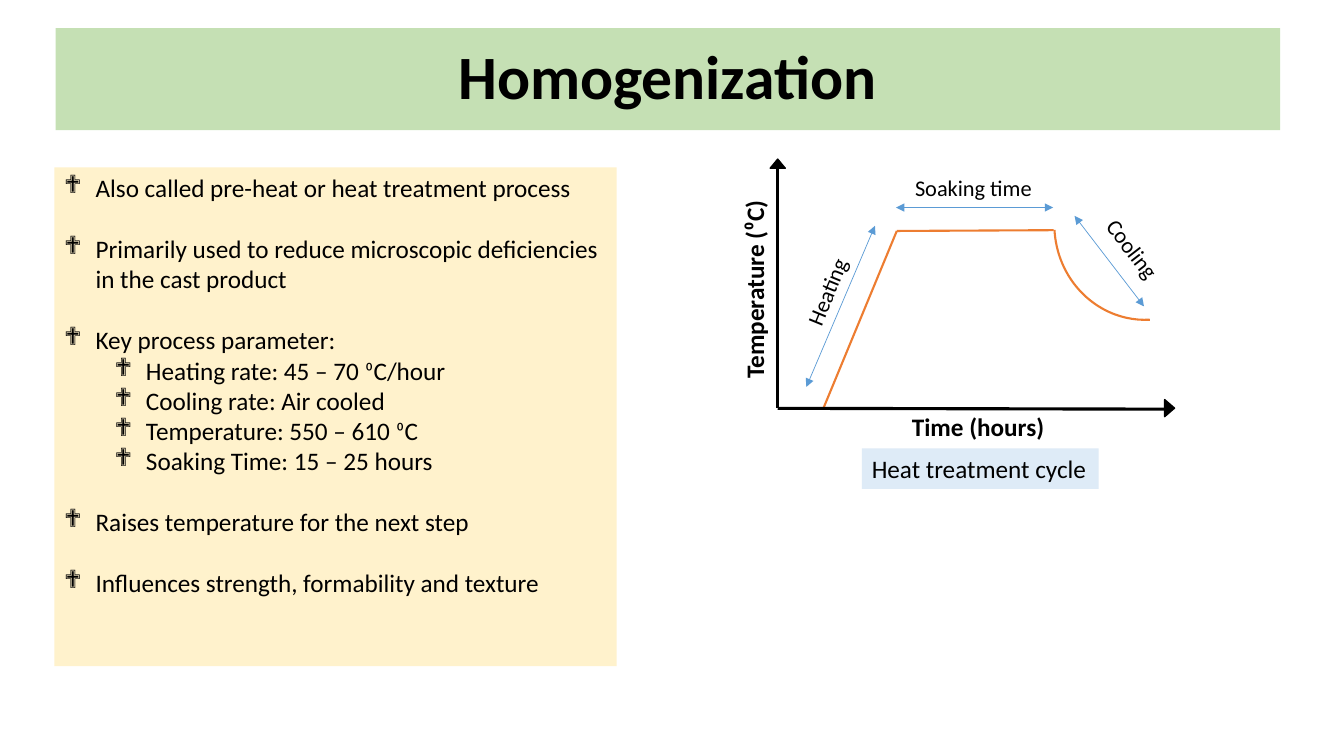
from lxml import etree
from pptx import Presentation
from pptx.dml.color import RGBColor
from pptx.enum.shapes import MSO_CONNECTOR as Line, MSO_SHAPE as Shape
from pptx.enum.text import MSO_ANCHOR as Anchor, PP_ALIGN as Align
from pptx.oxml.ns import qn
from pptx.util import Cm, Pt

COLORS = {
    "black": "000000",
    "green": "C5E0B4",
    "cream": "FFF2CC",
    "pale blue": "DEEBF7",
    "orange": "ED7D31",
    "blue": "5B9BD5",
}

deck = Presentation()
deck.slide_width, deck.slide_height = Cm(33.87), Cm(19.05)
page = deck.slides.add_slide(deck.slide_layouts[6])


def add_block(place, kind=Shape.RECTANGLE, fill=None, line=None, width=1, turn=0):
    """Add a preset shape; place is left, top, width, height in cm."""
    block = page.shapes.add_shape(kind, *[Cm(value) for value in place])
    block.shadow.inherit = False
    block.rotation = turn
    if fill:
        block.fill.solid()
        block.fill.fore_color.rgb = RGBColor.from_string(COLORS[fill])
    else:
        block.fill.background()
    if line:
        block.line.color.rgb = RGBColor.from_string(COLORS[line])
        block.line.width = Pt(width)
    else:
        block.line.fill.background()
    return block


def write(para, text, size=18, bold=False, align=Align.LEFT, degree_size=None):
    """Fill a paragraph, with the degree sign in its own size if one is given."""
    para.alignment = align
    pieces = text.partition("⁰") if degree_size else [text]
    for piece in filter(None, pieces):
        span = para.add_run()
        span.text = piece
        span.font.name = "Calibri"
        span.font.size = Pt(degree_size if piece == "⁰" else size)
        span.font.bold = bold
        span.font.color.rgb = RGBColor.from_string(COLORS["black"])


# Title
title = add_block((1.4, 0.71, 30.86, 2.57), fill="green")
title.text_frame.vertical_anchor = Anchor.MIDDLE
title_para = title.text_frame.paragraphs[0]
title_para.line_spacing = 0.9
write(title_para, "Homogenization", size=44, bold=True, align=Align.CENTER)

# Bullet panel: level, gap before in points, text
bullets = [
    (0, 0, "Also called pre-heat or heat treatment process"),
    (0, 22, "Primarily used to reduce microscopic deficiencies in the cast product"),
    (0, 22, "Key process parameter:"),
    (1, 0, "Heating rate: 45 – 70 ⁰C/hour"),
    (1, 0, "Cooling rate: Air cooled"),
    (1, 0, "Temperature: 550 – 610 ⁰C"),
    (1, 0, "Soaking Time: 15 – 25 hours"),
    (0, 22, "Raises temperature for the next step"),
    (0, 22, "Influences strength, formability and texture"),
]
panel = add_block((1.37, 4.22, 14.17, 12.57), fill="cream").text_frame
panel.word_wrap = True
panel.vertical_anchor = Anchor.TOP
for index, (level, gap, text) in enumerate(bullets):
    para = panel.add_paragraph() if index else panel.paragraphs[0]
    para.level = level
    props = para._p.get_or_add_pPr()
    props.set("marL", str(Cm(0.79 + 1.27 * level)))
    props.set("indent", str(Cm(-0.79)))
    etree.SubElement(props, qn("a:buFont"), typeface="Wingdings")
    etree.SubElement(props, qn("a:buChar"), char="❖")
    para.space_before = Pt(gap)
    write(para, text, degree_size=16)

# Heat treatment cycle: start, end, colour, width, arrows at both ends
lines = [
    ((20.75, 10.29), (22.6, 5.82), "orange", 1.5, False),
    ((22.6, 5.82), (26.55, 5.8), "orange", 1.5, False),
    ((19.6, 4.24), (19.6, 10.29), "black", 2.25, False),
    ((19.6, 10.29), (29.36, 10.31), "black", 2.25, False),
    ((22.58, 5.23), (26.54, 5.23), "blue", 0.5, True),
    ((22.05, 5.69), (20.32, 9.75), "blue", 0.5, True),
    ((27.08, 5.44), (28.83, 7.72), "blue", 0.5, True),
]
for start, end, color, width, arrows in lines:
    ends = [Cm(value) for value in start + end]
    connector = page.shapes.add_connector(Line.STRAIGHT, *ends)
    connector.line.color.rgb = RGBColor.from_string(COLORS[color])
    connector.line.width = Pt(width)
    if arrows:
        for tag in ("a:headEnd", "a:tailEnd"):
            etree.SubElement(connector.line._get_or_add_ln(), qn(tag), type="triangle")
    etree.SubElement(connector._element.spPr, qn("a:effectLst"))

add_block((26.57, 3.28, 4.55, 4.78), Shape.ARC, line="orange", width=1.5, turn=176.9)
for place, turn in [((19.41, 4.01, 0.38, 0.23), 0), ((29.26, 10.16, 0.43, 0.25), 90)]:
    add_block(place, Shape.ISOSCELES_TRIANGLE, fill="black", line="black", turn=turn)

# Labels: text, place, turn, size, bold, fill
labels = [
    ("Temperature (⁰C)", (16.48, 6.76, 5.05, 1.02), 270, 18, True, None),
    ("Time (hours)", (22.73, 10.24, 3.89, 1.02), 0, 18, True, None),
    ("Soaking time", (22.81, 4.27, 3.48, 0.94), 0, 16, False, None),
    ("Heating", (19.69, 6.86, 2.31, 0.94), 292.2, 16, False, None),
    ("Cooling", (27.43, 5.82, 2.24, 0.94), 52.5, 16, False, None),
    ("Heat treatment cycle", (21.72, 11.3, 5.97, 1.02), 0, 18, False, "pale blue"),
]
for text, place, turn, size, bold, fill in labels:
    box = page.shapes.add_textbox(*[Cm(value) for value in place])
    box.rotation = turn
    box.text_frame.word_wrap = False
    if fill:
        box.fill.solid()
        box.fill.fore_color.rgb = RGBColor.from_string(COLORS[fill])
    write(box.text_frame.paragraphs[0], text, size=size, bold=bold)

deck.save("out.pptx")
